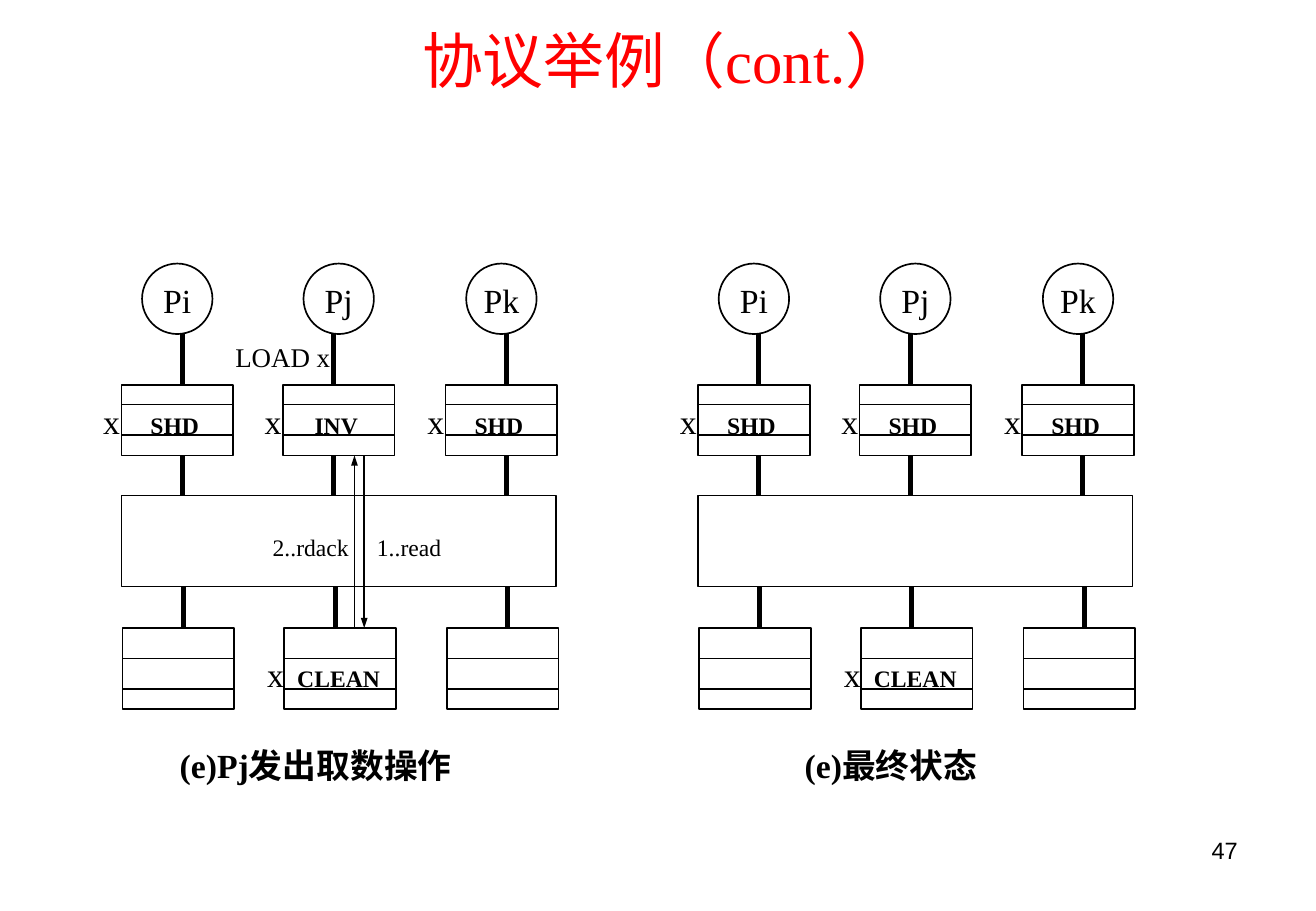
import pptx
import pptx.dml.color
import pptx.enum.shapes
import pptx.enum.text
import pptx.oxml
import pptx.oxml.ns
import pptx.util

Inches = pptx.util.Inches
Pt = pptx.util.Pt
color = pptx.dml.color.RGBColor.from_string
Shape = pptx.enum.shapes.MSO_SHAPE
Align = pptx.enum.text.PP_ALIGN
Anchor = pptx.enum.text.MSO_ANCHOR
AutoSize = pptx.enum.text.MSO_AUTO_SIZE

BLACK = "000000"
SERIF = {"name": "Times New Roman", "size": Pt(20), "bold": False}
SMALL = {**SERIF, "size": Pt(14)}
STATE = {**SMALL, "bold": True}
CAPTION = {**SERIF, "bold": True}
LABEL_FRAME = {"word_wrap": False, "auto_size": AutoSize.SHAPE_TO_FIT_TEXT,
               "vertical_anchor": Anchor.MIDDLE}


def add_text(shapes, text, place, font, frame=LABEL_FRAME, align=Align.CENTER, ink=BLACK):
    """Place is centre x, top, width, height in inches."""
    center, top, width, height = place
    box = shapes.add_textbox(Inches(center - width / 2), Inches(top),
                             Inches(width), Inches(height))
    for name, value in frame.items():
        setattr(box.text_frame, name, value)
    para = box.text_frame.paragraphs[0]
    para.alignment = align
    span = para.add_run()
    span.text = text
    for name, value in font.items():
        setattr(span.font, name, value)
    span.font.color.rgb = color(ink)


def add_vertical(shapes, x, start, end, width, arrow=False):
    line = shapes.add_connector(pptx.enum.shapes.MSO_CONNECTOR.STRAIGHT,
                                Inches(x), Inches(start), Inches(x), Inches(end))
    line.line.color.rgb = color(BLACK)
    line.line.width = Pt(width)
    if arrow:
        tail = pptx.oxml.parse_xml(
            f'<a:tailEnd {pptx.oxml.ns.nsdecls("a")} type="triangle" w="sm" len="med"/>')
        line.line._get_or_add_ln().append(tail)
    line._element.spPr.append(
        pptx.oxml.parse_xml(f'<a:effectLst {pptx.oxml.ns.nsdecls("a")}/>'))


deck = pptx.Presentation()
deck.slide_width = Inches(10.84)
deck.slide_height = Inches(7.5)
page = deck.slides.add_slide(deck.slide_layouts[6])

# Columns shared by both panels: processor, cache left, link x
columns = [("Pi", 1, 1.5), ("Pj", 2.33, 2.75), ("Pk", 3.67, 4.17)]
# Panel offset, cache states, caption with its centre and width
panels = [
    (0, ["SHD", "INV", "SHD"], "(e)Pj发出取数操作", 2.6, 2.51),
    (4.75, ["SHD", "SHD", "SHD"], "(e)最终状态", 7.34, 1.69),
]

for offset, states, caption, caption_center, caption_width in panels:
    panel = page.shapes.add_group_shape().shapes

    # Outlines: network, then processor, cache and memory of each column
    outlines = [(Shape.RECTANGLE, 1, 4.08, 3.58, 0.75)]
    for processor, left, link in columns:
        outlines += [
            (Shape.OVAL, left + 0.17, 2.17, 0.58, 0.58),
            (Shape.RECTANGLE, left, 3.17, 0.92, 0.58),
            (Shape.RECTANGLE, left, 3.33, 0.92, 0.25),
            (Shape.RECTANGLE, left + 0.01, 5.17, 0.92, 0.67),
            (Shape.RECTANGLE, left + 0.01, 5.42, 0.92, 0.25),
        ]
    for kind, left, top, width, height in outlines:
        outline = panel.add_shape(kind, Inches(offset + left), Inches(top),
                                  Inches(width), Inches(height))
        outline.shadow.inherit = False
        outline.fill.background()
        outline.line.color.rgb = color(BLACK)
        outline.line.width = Pt(1)

    # Links and labels of each column
    for (processor, left, link), state in zip(columns, states):
        x = offset + left
        for shift, start, end in [(0, 2.75, 3.17), (0, 3.75, 4.08), (0.01, 4.83, 5.17)]:
            add_vertical(panel, offset + link + shift, start, end, 3)
        add_text(panel, processor, (x + 0.46, 2.25, 0.58, 0.44), SERIF)
        add_text(panel, "x", (x - 0.08, 3.25, 0.34, 0.44), SERIF)
        add_text(panel, state, (x + 0.44, 3.33, 0.64, 0.34), STATE)

    # Memory block holding x, and the caption
    add_text(panel, "x", (offset + 2.27, 5.33, 0.34, 0.44), SERIF)
    add_text(panel, "CLEAN", (offset + 2.79, 5.41, 0.9, 0.34), STATE)
    add_text(panel, caption, (caption_center, 6.08, caption_width, 0.44), CAPTION)

    # Messages of the load, in the first panel only
    if "INV" in states:
        add_vertical(panel, 2.92, 5.17, 3.75, 1, arrow=True)
        add_vertical(panel, 3, 3.75, 5.17, 1, arrow=True)
        add_text(panel, "1..read", (3.37, 4.33, 0.75, 0.34), SMALL)
        add_text(panel, "2..rdack", (2.56, 4.33, 0.85, 0.34), SMALL)
        add_text(panel, "LOAD x", (2.33, 2.75, 1, 0.37), {**SERIF, "size": Pt(16)})

# Title and page number
add_text(page.shapes, "协议举例（cont.）", (5.47, 0, 9.71, 0.98), {**SERIF, "size": Pt(36)},
         {"word_wrap": True, "vertical_anchor": Anchor.MIDDLE}, ink="FF0000")
add_text(page.shapes, "47", (9.03, 6.83, 2.53, 0.52), {**SMALL, "name": "Arial"},
         {"word_wrap": True, "vertical_anchor": Anchor.TOP}, Align.RIGHT)

deck.save("out.pptx")
